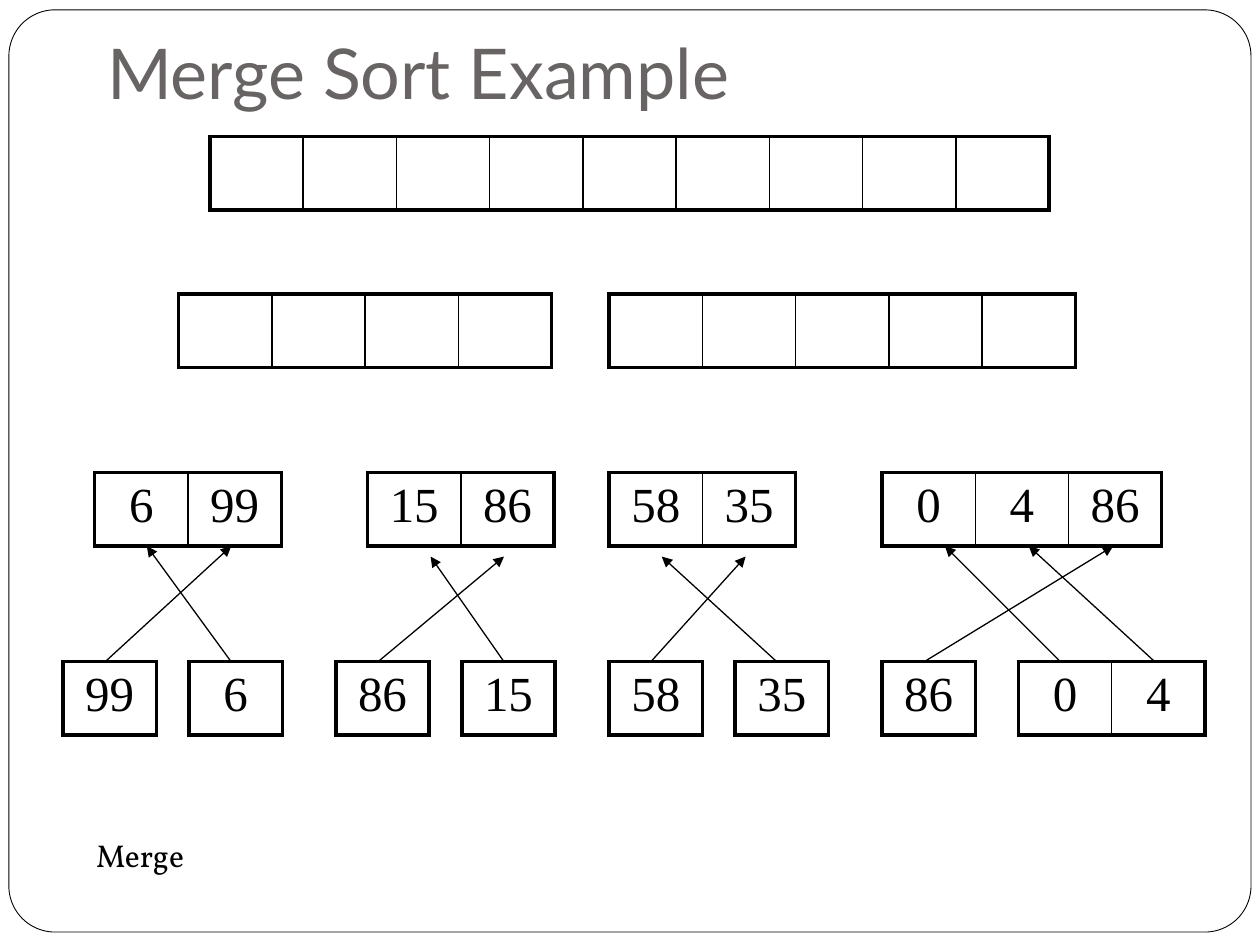
from typing import NamedTuple

from lxml import etree
from pptx import Presentation
from pptx.dml.color import RGBColor
from pptx.enum.shapes import MSO_CONNECTOR, MSO_SHAPE
from pptx.enum.text import MSO_ANCHOR, PP_ALIGN
from pptx.oxml.ns import qn
from pptx.util import Cm, Pt

LEFT, CENTER = PP_ALIGN.LEFT, PP_ALIGN.CENTER
TOP, BOTTOM = MSO_ANCHOR.TOP, MSO_ANCHOR.BOTTOM
ROUND, STRAIGHT = MSO_SHAPE.ROUNDED_RECTANGLE, MSO_CONNECTOR.STRAIGHT
BLACK, WHITE, GRAY = "000000", "FFFFFF", "696464"
CELL_W, CELL_H = 1.88, 1.48
THICK, THIN = 2.25, 1
WHOLE, HALVES, PAIRS, LEAVES = 2.75, 5.93, 9.53, 13.34  # top of each level
HIGH, LOW = 11.01, 11.22  # where arrows end


class Array(NamedTuple):
    left: float
    top: float
    items: list[str]


class Arrow(NamedTuple):
    start: float
    end: float
    tip: float


ARRAYS = [
    Array(4.23, WHOLE, [""] * 9),
    Array(3.6, HALVES, [""] * 4),
    Array(12.28, HALVES, [""] * 5),
    Array(1.91, PAIRS, ["6", "99"]),
    Array(7.41, PAIRS, ["15", "86"]),
    Array(12.28, PAIRS, ["58", "35"]),
    Array(17.78, PAIRS, ["0", "4", "86"]),
    Array(1.27, LEAVES, ["99"]),
    Array(3.81, LEAVES, ["6"]),
    Array(6.77, LEAVES, ["86"]),
    Array(9.31, LEAVES, ["15"]),
    Array(12.28, LEAVES, ["58"]),
    Array(14.82, LEAVES, ["35"]),
    Array(17.78, LEAVES, ["86"]),
    Array(20.53, LEAVES, ["0", "4"]),
]

ARROWS = [
    Arrow(2.12, 4.66, HIGH),
    Arrow(4.66, 2.96, HIGH),
    Arrow(7.62, 10.16, LOW),
    Arrow(10.16, 8.68, LOW),
    Arrow(13.12, 15.03, LOW),
    Arrow(15.66, 13.34, LOW),
    Arrow(18.63, 22.44, HIGH),
    Arrow(21.38, 19.05, HIGH),
    Arrow(23.28, 20.74, HIGH),
]


def color(code: str) -> RGBColor:
    return RGBColor.from_string(code)


def write(frame, text: str, *, size: float, font: str, tint: str = BLACK,
          align=LEFT) -> None:
    para = frame.paragraphs[0]
    para.alignment = align
    run = para.add_run()
    run.text = text
    run.font.size = Pt(size)
    run.font.name = font
    run.font.color.rgb = color(tint)


def add_box(slide, left: float, top: float, width: float, height: float,
            anchor=TOP):
    box = slide.shapes.add_textbox(Cm(left), Cm(top), Cm(width), Cm(height))
    frame = box.text_frame
    frame.word_wrap = True
    frame.vertical_anchor = anchor
    return frame


def add_edge(cell, side: str, width: float) -> None:
    props = cell._tc.get_or_add_tcPr()
    edge = etree.SubElement(props, qn(f"a:ln{side}"), w=str(Pt(width)))
    fill = etree.SubElement(edge, qn("a:solidFill"))
    etree.SubElement(fill, qn("a:srgbClr"), val=BLACK)


def draw_array(slide, array: Array) -> None:
    count = len(array.items)
    table = slide.shapes.add_table(
        1, count, Cm(array.left), Cm(array.top),
        Cm(CELL_W * count), Cm(CELL_H)).table
    table.first_row = table.horz_banding = False
    for col, item in enumerate(array.items):
        table.columns[col].width = Cm(CELL_W)
        cell = table.cell(0, col)
        # Thick outside, thin between cells
        add_edge(cell, "L", THICK if col == 0 else THIN)
        add_edge(cell, "R", THICK if col == count - 1 else THIN)
        add_edge(cell, "T", THICK)
        add_edge(cell, "B", THICK)
        cell.fill.background()
        if item:
            write(cell.text_frame, item, size=28, font="Times New Roman",
                  align=CENTER)


def draw_arrow(slide, arrow: Arrow) -> None:
    line = slide.shapes.add_connector(
        STRAIGHT, Cm(arrow.start), Cm(LEAVES), Cm(arrow.end), Cm(arrow.tip))
    line.line.color.rgb = color(BLACK)
    line.line.width = Pt(0.75)
    etree.SubElement(line.line._get_or_add_ln(), qn("a:tailEnd"),
                     type="triangle")
    etree.SubElement(line._element.spPr, qn("a:effectLst"))


def draw_frame(slide) -> None:
    frame = slide.shapes.add_shape(ROUND, Cm(0.18), Cm(0.2), Cm(25.04),
                                   Cm(18.59))
    frame.adjustments[0] = 0.05
    frame.shadow.inherit = False
    frame.fill.solid()
    frame.fill.fore_color.rgb = color(WHITE)
    frame.line.color.rgb = color(BLACK)
    frame.line.width = Pt(0.5)


def main() -> None:
    deck = Presentation()
    deck.slide_width, deck.slide_height = Cm(25.4), Cm(19.05)
    slide = deck.slides.add_slide(deck.slide_layouts[6])

    # Frame and title
    draw_frame(slide)
    title = add_box(slide, 1.91, 0, 21.59, 2.54, BOTTOM)
    title.margin_bottom = Cm(0.25)
    write(title, "Merge Sort Example", size=40, font="Lato", tint=GRAY)

    # Arrays, level by level
    for array in ARRAYS:
        draw_array(slide, array)

    # Step name
    step = add_box(slide, 1.69, 16.72, 12.91, 1.27)
    write(step, "Merge", size=18, font="Vollkorn")

    # Moves from the leaves up
    for arrow in ARROWS:
        draw_arrow(slide, arrow)

    deck.save("out.pptx")


if __name__ == "__main__":
    main()
